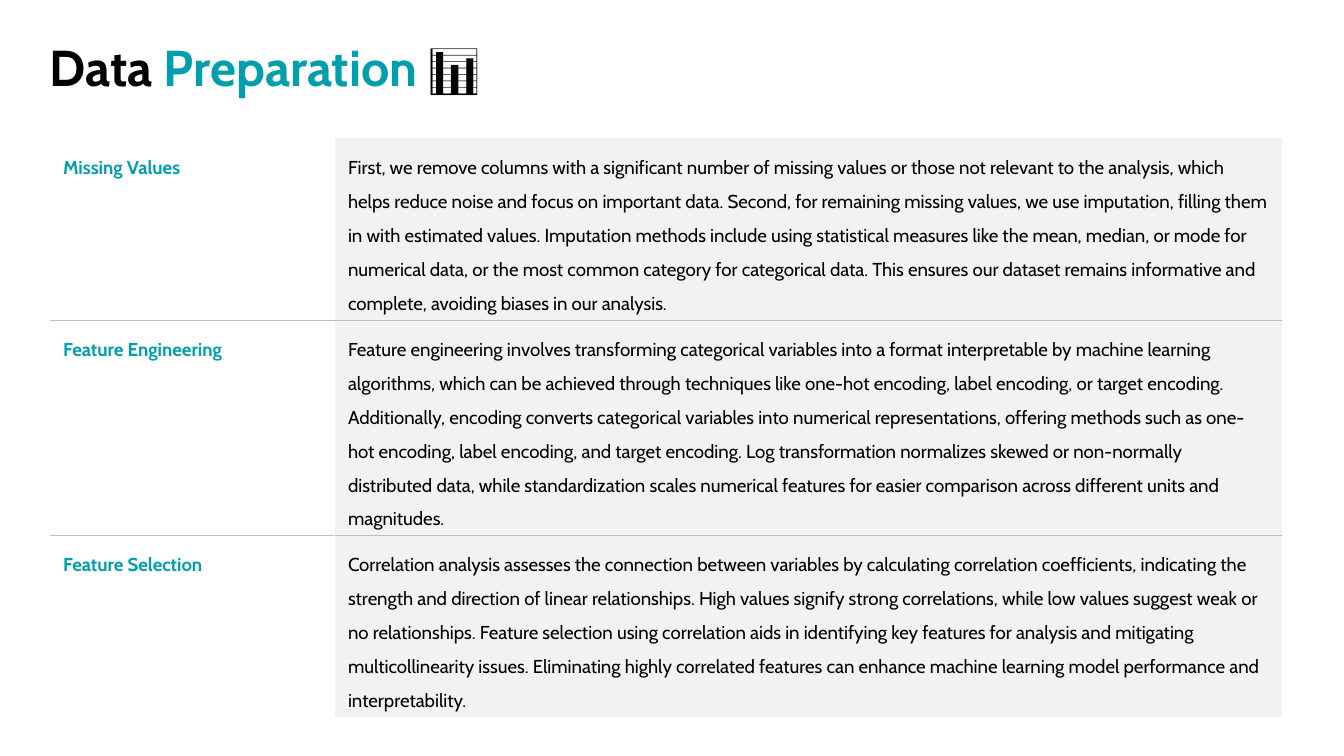
from dataclasses import dataclass

from pptx import Presentation
from pptx.dml.color import RGBColor
from pptx.enum.text import MSO_AUTO_SIZE
from pptx.oxml import parse_xml
from pptx.oxml.ns import nsdecls
from pptx.slide import Slide
from pptx.table import _Cell
from pptx.util import Inches, Pt


@dataclass(frozen=True)
class Theme:
    font: str = "Cabin"
    title_size: float = 27
    body_size: float = 10
    ink: str = "000000"
    teal: str = "019FAB"
    panel: str = "F2F2F2"
    rule: str = "BFBFBF"
    white: str = "FFFFFF"
    rule_width: float = 0.75


@dataclass(frozen=True)
class Step:
    name: str
    text: str
    borders: dict[str, str]


THEME = Theme()
STEPS = [
    Step(
        "Missing Values",
        "First, we remove columns with a significant number of missing values or those not "
        "relevant to the analysis, which helps reduce noise and focus on important data. Second, "
        "for remaining missing values, we use imputation, filling them in with estimated values. "
        "Imputation methods include using statistical measures like the mean, median, or mode for "
        "numerical data, or the most common category for categorical data. This ensures our "
        "dataset remains informative and complete, avoiding biases in our analysis.",
        {"B": THEME.rule},
    ),
    Step(
        "Feature Engineering",
        "Feature engineering involves transforming categorical variables into a format "
        "interpretable by machine learning algorithms, which can be achieved through techniques "
        "like one-hot encoding, label encoding, or target encoding. Additionally, encoding "
        "converts categorical variables into numerical representations, offering methods such as "
        "one-hot encoding, label encoding, and target encoding. Log transformation normalizes "
        "skewed or non-normally distributed data, while standardization scales numerical features "
        "for easier comparison across different units and magnitudes.",
        {"T": THEME.rule, "B": THEME.rule},
    ),
    Step(
        "Feature Selection",
        "Correlation analysis assesses the connection between variables by calculating "
        "correlation coefficients, indicating the strength and direction of linear relationships. "
        "High values signify strong correlations, while low values suggest weak or no "
        "relationships. Feature selection using correlation aids in identifying key features for "
        "analysis and mitigating multicollinearity issues. Eliminating highly correlated features "
        "can enhance machine learning model performance and interpretability.",
        {"L": THEME.white, "R": THEME.white, "T": THEME.rule, "B": THEME.white},
    ),
]


def add_title(s: Slide) -> None:
    """Add the two-coloured slide title."""
    tf = s.shapes.add_textbox(Inches(0.17), Inches(0.17), Inches(9.45), Inches(0.66)).text_frame
    tf.word_wrap = True
    tf.auto_size = MSO_AUTO_SIZE.SHAPE_TO_FIT_TEXT
    tf.margin_left = tf.margin_right = tf.margin_top = tf.margin_bottom = Inches(0.1)
    p = tf.paragraphs[0]
    p._p.get_or_add_pPr().set("marL", str(Inches(0.1)))
    p.font.name, p.font.size, p.font.bold = THEME.font, Pt(THEME.title_size), True
    for text, color in (("Data ", THEME.ink), ("Preparation", THEME.teal), (" 📊", THEME.ink)):
        r = p.add_run()
        r.text = text
        r.font.color.rgb = RGBColor.from_string(color)


def set_borders(cell: _Cell, borders: dict[str, str]) -> None:
    """Draw the given sides of a cell and hide the others."""
    tc_pr = cell._tc.get_or_add_tcPr()
    for i, side in enumerate("LRTB"):
        color = borders.get(side)
        paint = f'<a:solidFill><a:srgbClr val="{color}"/></a:solidFill>' if color else "<a:noFill/>"
        width = Pt(THEME.rule_width)
        tc_pr.insert(i, parse_xml(f'<a:ln{side} {nsdecls("a")} w="{width}">{paint}</a:ln{side}>'))


def fill_cell(cell: _Cell, text: str, color: str, bold: bool) -> None:
    """Write one paragraph of table text."""
    cell.margin_left = cell.margin_right = Inches(0.1)
    cell.margin_top = cell.margin_bottom = Inches(0.05)
    p = cell.text_frame.paragraphs[0]
    p.text = text
    p.line_spacing = 1.5
    p.font.name, p.font.size, p.font.bold = THEME.font, Pt(THEME.body_size), bold
    p.font.color.rgb = RGBColor.from_string(color)


def add_steps(s: Slide, steps: list[Step]) -> None:
    """Add the table with one row for each preparation step."""
    widths = (2.12, 7.05)
    row_height = 0.41
    table = s.shapes.add_table(
        len(steps), len(widths), Inches(0.37), Inches(1.03),
        Inches(sum(widths)), Inches(row_height * len(steps)),
    ).table
    table.first_row = table.horz_banding = False
    for column, width in zip(table.columns, widths):
        column.width = Inches(width)
    for row, step in zip(table.rows, steps):
        row.height = Inches(row_height)
        name, detail = row.cells
        fill_cell(name, step.name, THEME.teal, True)
        fill_cell(detail, step.text, THEME.ink, False)
        name.fill.background()
        detail.fill.solid()
        detail.fill.fore_color.rgb = RGBColor.from_string(THEME.panel)
        for cell in (name, detail):
            set_borders(cell, step.borders)


def main() -> None:
    """Build and save the slide."""
    prs = Presentation()
    prs.slide_width = Inches(10)
    prs.slide_height = prs.slide_width * 9 // 16
    s = prs.slides.add_slide(prs.slide_layouts[6])
    add_title(s)
    add_steps(s, STEPS)
    prs.save("out.pptx")


if __name__ == "__main__":
    main()
